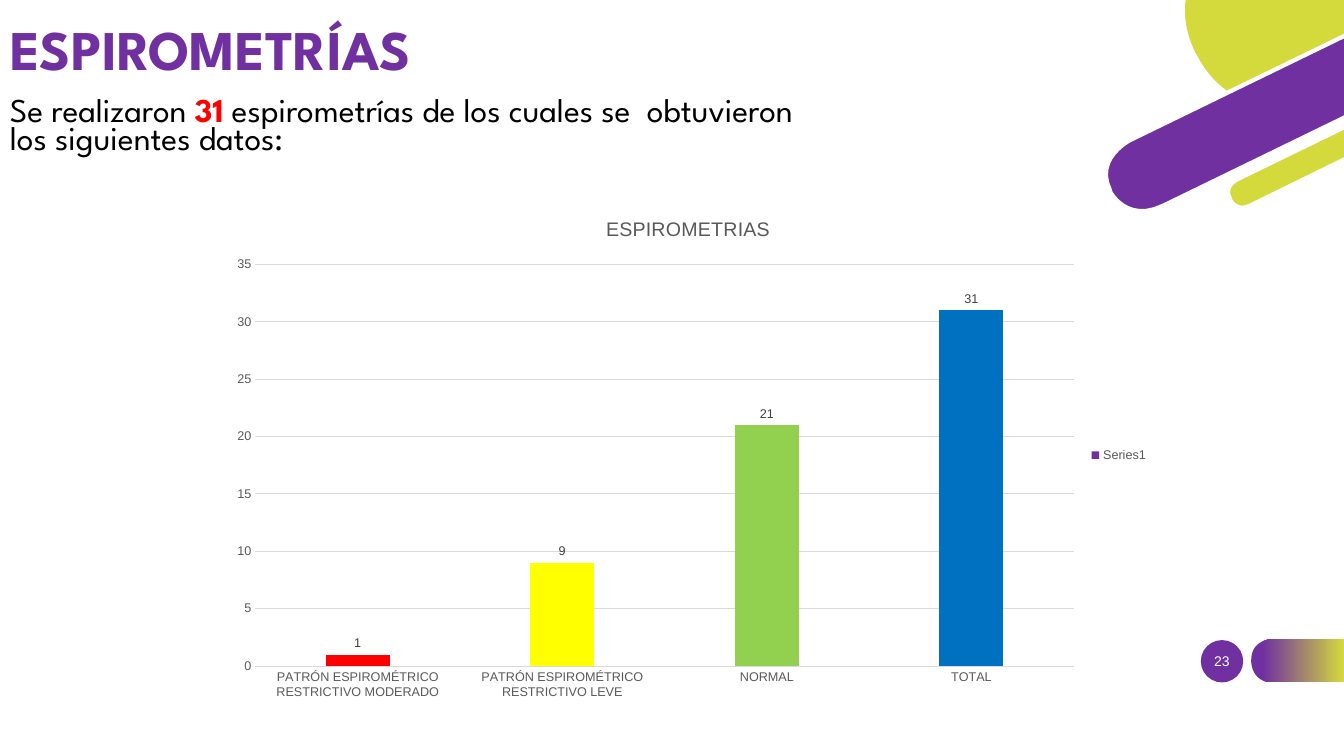
from pptx import Presentation
from pptx.chart.data import CategoryChartData
from pptx.dml.color import RGBColor
from pptx.enum.chart import XL_CHART_TYPE, XL_LABEL_POSITION, XL_LEGEND_POSITION, XL_TICK_MARK
from pptx.enum.shapes import MSO_SHAPE
from pptx.enum.text import MSO_ANCHOR, MSO_AUTO_SIZE, PP_ALIGN
from pptx.oxml import parse_xml
from pptx.oxml.ns import nsdecls
from pptx.util import Inches, Pt

COLUMN = XL_CHART_TYPE.COLUMN_CLUSTERED
OUTSIDE_END = XL_LABEL_POSITION.OUTSIDE_END
RIGHT = XL_LEGEND_POSITION.RIGHT
NO_TICK = XL_TICK_MARK.NONE
OVAL = MSO_SHAPE.OVAL
MIDDLE = MSO_ANCHOR.MIDDLE
NO_FIT = MSO_AUTO_SIZE.NONE
LEFT, CENTER = PP_ALIGN.LEFT, PP_ALIGN.CENTER

COLORS = {
    "purple": "7030A0", "lime": "D5DA3C", "white": "FFFFFF", "black": "000000",
    "red": "FF0000", "yellow": "FFFF00", "green": "92D050", "blue": "0070C0",
    "axis text": "595959", "label text": "404040", "grid": "D9D9D9",
}
RGB = {name: RGBColor.from_string(value) for name, value in COLORS.items()}


def add_outline(shapes, start, segments, steps=12):
    """Draw a closed outline; a segment is one point (line) or three (Bezier curve)."""
    points = [start]
    for segment in segments:
        if len(segment) == 1:
            points.append(segment[0])
            continue
        knots = [points[-1], *segment]
        for i in range(1, steps + 1):
            t = i / steps
            weights = ((1 - t) ** 3, 3 * t * (1 - t) ** 2, 3 * t * t * (1 - t), t ** 3)
            points.append(tuple(sum(w * k[axis] for w, k in zip(weights, knots))
                                for axis in (0, 1)))
    emu = [(Inches(x), Inches(y)) for x, y in points]
    builder = shapes.build_freeform(*emu[0], scale=1.0)
    builder.add_line_segments(emu[1:], close=True)
    shape = builder.convert_to_shape()
    shape.shadow.inherit = False
    shape.line.fill.background()
    return shape


def set_font(font, size, color, name="Arial", bold=False):
    font.size, font.name, font.bold = Pt(size), name, bold
    font.color.rgb = RGB[color]


prs = Presentation()
prs.slide_width, prs.slide_height = Inches(13.33), Inches(7.5)
s = prs.slides.add_slide(prs.slide_layouts[5])

# Page number badge
badge = s.shapes.add_shape(OVAL, Inches(11.91), Inches(6.35), Inches(0.42), Inches(0.42))
badge.shadow.inherit = False
badge.fill.solid()
badge.fill.fore_color.rgb = RGB["purple"]
badge.line.fill.background()

tab = add_outline(s.shapes, (12.62, 6.77), [
    [(13.34, 6.77)], [(13.34, 6.34)], [(12.62, 6.34)],
    [(12.62, 6.34), (12.41, 6.34), (12.41, 6.55)], [(12.41, 6.56)],
    [(12.41, 6.56), (12.41, 6.77), (12.62, 6.77)],
])
tab.fill.gradient()
tab.fill.gradient_angle = 0
for stop, position, color in zip(tab.fill.gradient_stops, (0.12, 1), ("purple", "lime")):
    stop.position = position
    stop.color.rgb = RGB[color]

# Corner decoration: colour, has white rim, start, segments
corner = [
    ("lime", False, (11.88, 0.56), [
        [(11.88, 0.56), (11.97, 0.76), (12.17, 0.9)], [(13.33, 0.34)], [(13.34, 0)],
        [(11.76, 0)], [(11.74, 0.15), (11.76, 0.33), (11.86, 0.53)]]),
    ("lime", True, (13.44, 1.21), [
        [(12.27, 1.78)], [(12.27, 1.78), (12.13, 1.85), (12.2, 1.97)], [(12.2, 1.98)],
        [(12.2, 1.98), (12.26, 2.11), (12.4, 2.04)], [(13.44, 1.53)]]),
    ("purple", True, (11.21, 1.39), [
        [(11.21, 1.39), (10.85, 1.57), (11.01, 1.89)], [(11.01, 1.9)],
        [(11.01, 1.9), (11.17, 2.22), (11.54, 2.04)], [(13.43, 1.12)], [(13.43, 0.31)]]),
]
for color, rim, start, segments in corner:
    band = add_outline(s.shapes, start, segments)
    band.fill.solid()
    band.fill.fore_color.rgb = RGB[color]
    if rim:
        band.line.color.rgb = RGB["white"]
        band.line.width = Pt(3)

# Texts
title = s.shapes.title
title.left, title.top, title.width, title.height = (
    Inches(0), Inches(0.1), Inches(6.67), Inches(0.84))
intro = s.shapes.add_textbox(Inches(0), Inches(0.94), Inches(8.06), Inches(0.67))
number = s.shapes.add_textbox(Inches(11.82), Inches(6.36), Inches(0.6), Inches(0.4))
SPARTAN = "League Spartan"
texts = [
    (title, LEFT, 0.9, SPARTAN, 40, [("ESPIROMETRÍAS", "purple", True)]),
    (intro, LEFT, 0.7, SPARTAN, 23.8, [
        ("Se realizaron ", "black", False), ("31", "red", True),
        (" espirometrías de los cuales se  obtuvieron los siguientes datos:", "black", False)]),
    (number, CENTER, 1.0, "Arial", 10, [("23", "white", False)]),
]
for box, align, spacing, font_name, size, runs in texts:
    tf = box.text_frame
    tf.word_wrap = True
    tf.auto_size = NO_FIT
    p = tf.paragraphs[0]
    p.alignment, p.line_spacing = align, spacing
    for text, color, bold in runs:
        r = p.add_run()
        r.text = text
        set_font(r.font, size, color, font_name, bold)
title.text_frame.vertical_anchor = number.text_frame.vertical_anchor = MIDDLE

# Chart
data = CategoryChartData()
data.categories = ["PATRÓN ESPIROMÉTRICO RESTRICTIVO MODERADO",
                   "PATRÓN ESPIROMÉTRICO RESTRICTIVO LEVE", "NORMAL", "TOTAL"]
data.add_series("Series1", (1, 9, 21, 31))
chart = s.shapes.add_chart(COLUMN, Inches(2.16), Inches(1.96),
                           Inches(9.33), Inches(5.11), data).chart
set_font(chart.font, 10, "black")
chart.has_title = True
r = chart.chart_title.text_frame.paragraphs[0].add_run()
r.text = "ESPIROMETRIAS"
set_font(r.font, 14, "axis text")
chart.has_legend = True
chart.legend.position = RIGHT
chart.legend.include_in_layout = False
set_font(chart.legend.font, 9, "axis text")

for axis in (chart.category_axis, chart.value_axis):
    axis.major_tick_mark = axis.minor_tick_mark = NO_TICK
    set_font(axis.tick_labels.font, 9, "axis text")
chart.value_axis.minimum_scale, chart.value_axis.maximum_scale = 0, 35
chart.value_axis.major_unit = 5
chart.value_axis.format.line.fill.background()
for line in (chart.category_axis.format.line, chart.value_axis.major_gridlines.format.line):
    line.color.rgb = RGB["grid"]
    line.width = Pt(0.75)

plot = chart.plots[0]
plot.vary_by_categories = False
plot.gap_width, plot.overlap = 219, -27
series = plot.series[0]
series.format.fill.solid()
series.format.fill.fore_color.rgb = RGB["purple"]
for i, color in enumerate(("red", "yellow", "green", "blue")):
    fill = series.points[i].format.fill
    fill.solid()
    fill.fore_color.rgb = RGB[color]
labels = series.data_labels
labels.show_value = True
labels.position = OUTSIDE_END
set_font(labels.font, 9, "label text")

# Fixed inner plot area, as fractions of the chart
plot_area = chart.element.chart.plotArea
for old in plot_area.xpath("c:layout"):
    plot_area.remove(old)
plot_area.insert(0, parse_xml(
    f'<c:layout {nsdecls("c")}><c:manualLayout><c:layoutTarget val="inner"/>'
    '<c:xMode val="edge"/><c:yMode val="edge"/><c:x val="0.04"/><c:y val="0.13"/>'
    '<c:w val="0.87"/><c:h val="0.78"/></c:manualLayout></c:layout>'))

prs.save("out.pptx")
